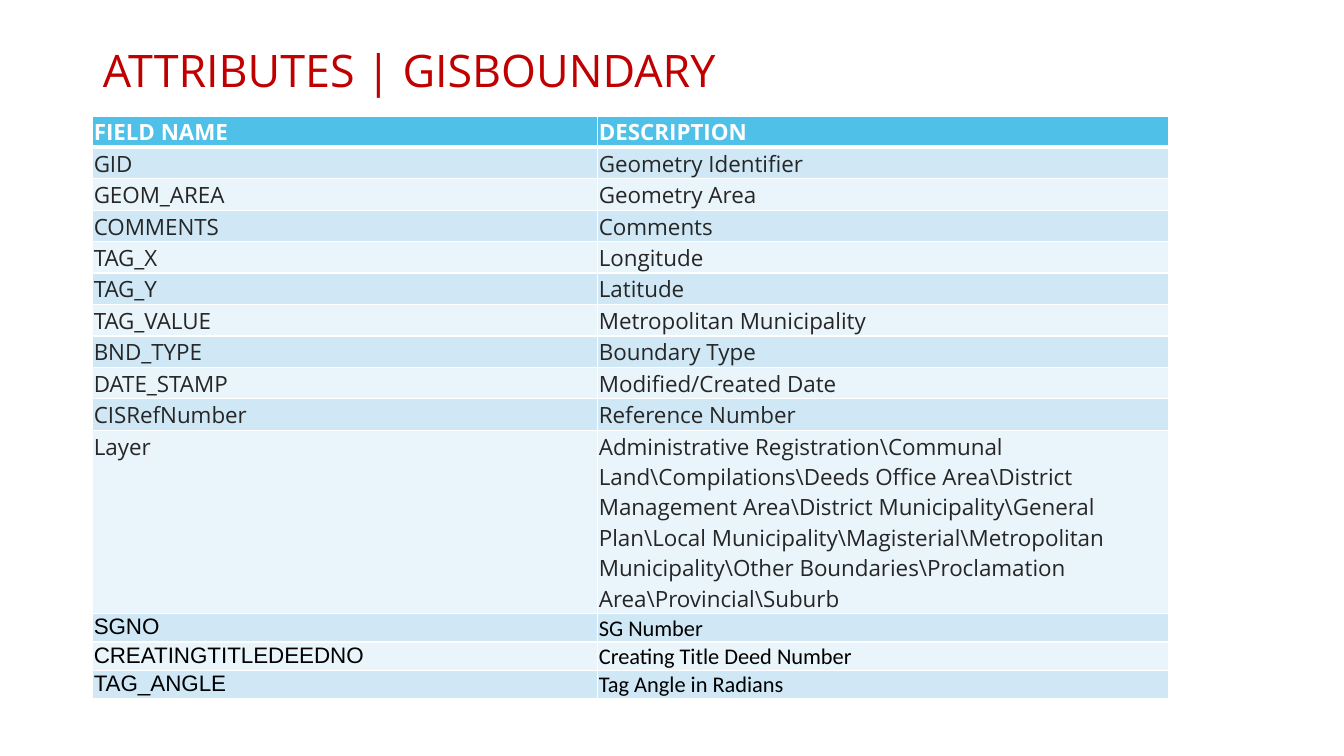
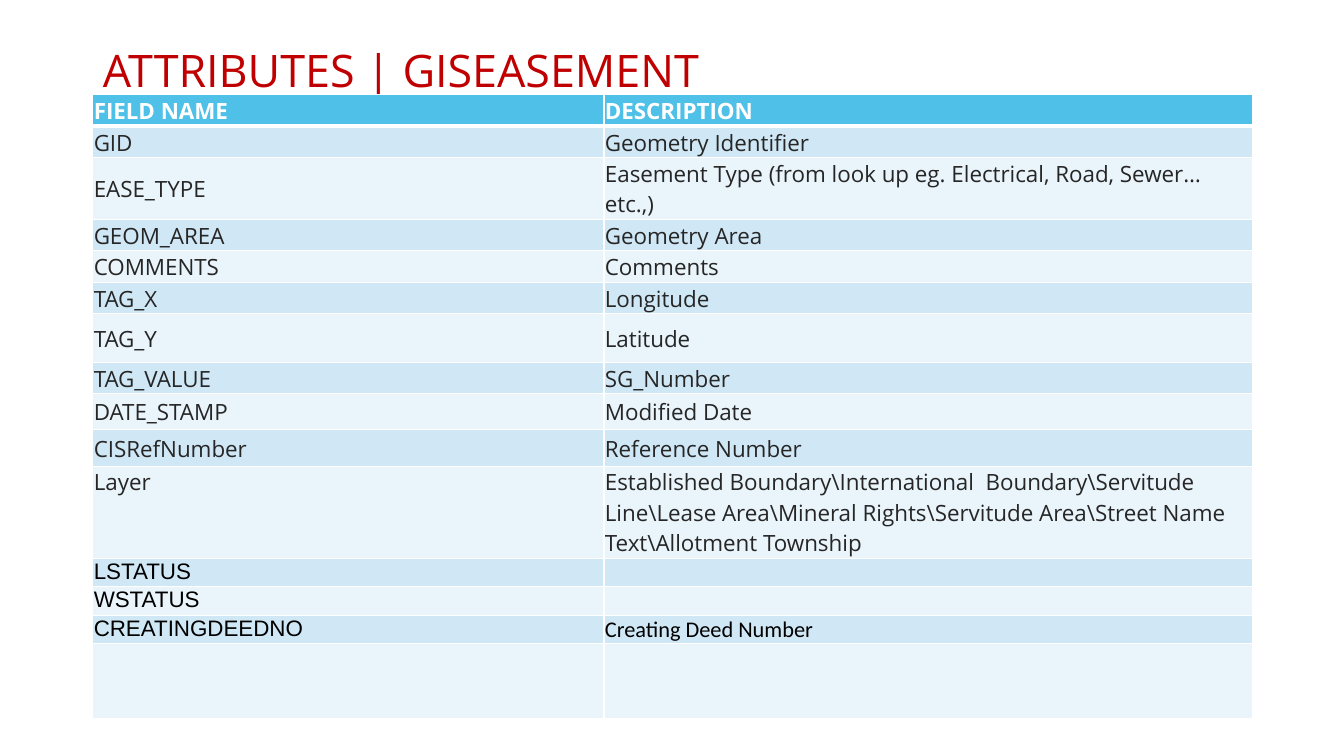
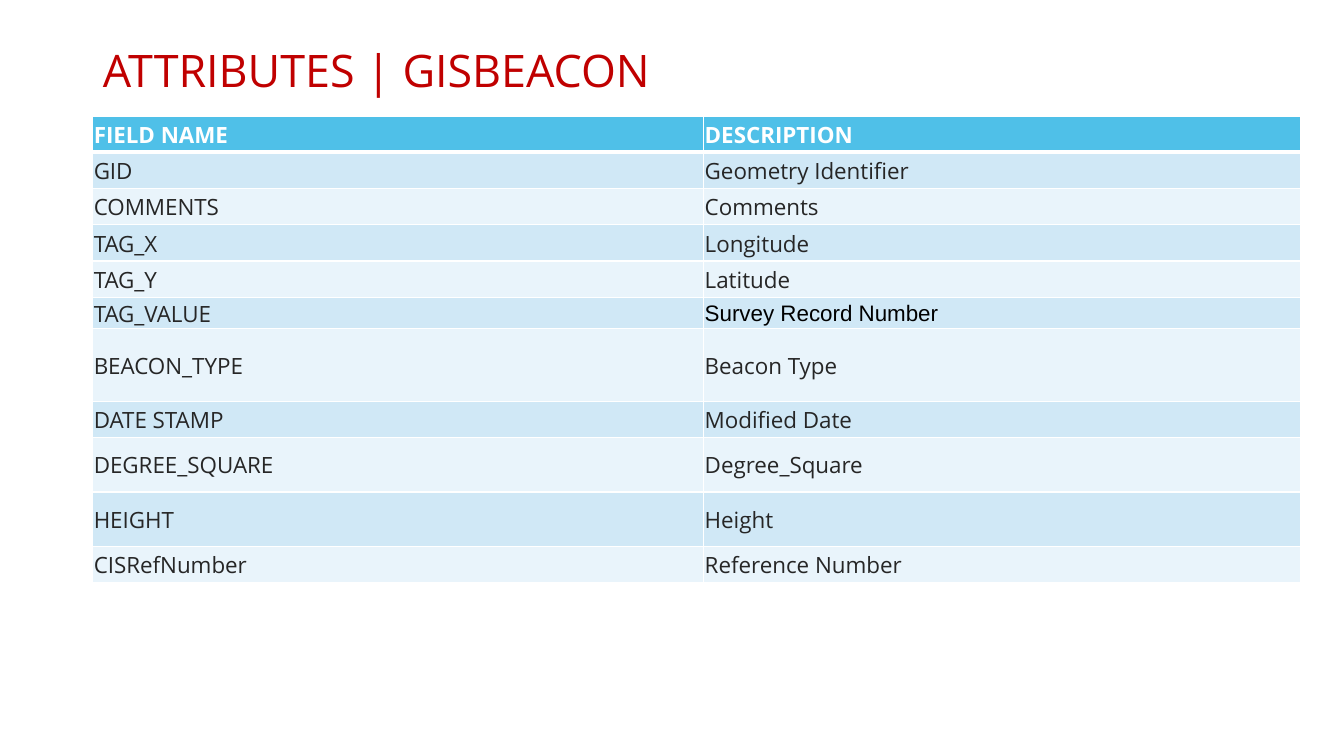
from lxml import etree
from pptx import Presentation
from pptx import util as u
from pptx.dml.color import RGBColor
from pptx.enum import text
from pptx.oxml import ns

HUES = {"title": "C00000", "head": "4FC0E8", "dark": "D0E8F6", "pale": "E9F4FB",
        "white": "FFFFFF", "body": "262626", "black": "000000"}
TOP, MID, LOW = (text.MSO_ANCHOR.TOP, text.MSO_ANCHOR.MIDDLE, text.MSO_ANCHOR.BOTTOM)
FONTS = {
    "title": {"name": "Open Sans", "size": u.Pt(32), "bold": False, "hue": "title"},
    "head": {"name": "Open Sans", "size": u.Pt(16), "bold": True, "hue": "white"},
    "body": {"name": "Open Sans", "size": u.Pt(16), "bold": False, "hue": "body"},
    "arial": {"name": "Arial", "size": u.Pt(16), "bold": False, "hue": "black"},
    "calib": {"name": "Calibri", "size": u.Pt(16), "bold": False, "hue": "black"},
}
KINDS = {
    "head": (("head", MID), ("head", MID)),
    "body": (("body", MID), ("body", MID)),
    "long": (("body", TOP), ("body", LOW)),
    "extra": (("arial", TOP), ("calib", LOW)),
    "mixed": (("body", MID), ("arial", MID)),
}
INSETS = {"margin_left": u.Inches(0.01), "margin_top": u.Inches(0.01),
          "margin_right": u.Inches(0.01), "margin_bottom": 0}


def apply(item, values):
    for key, value in values.items():
        setattr(item, key, value)


class Deck:
    def __init__(self):
        self.show = Presentation()
        apply(self.show, {"slide_width": u.Inches(13.33), "slide_height": u.Inches(7.5)})
        self.slide = None

    def style(self, font, look):
        values = dict(FONTS[look])
        font.color.rgb = RGBColor.from_string(HUES[values.pop("hue")])
        apply(font, values)

    def title(self, words):
        self.slide = self.show.slides.add_slide(self.show.slide_layouts[5])
        box = self.slide.shapes.title
        apply(box, {"left": u.Inches(0.92), "top": u.Inches(0.3),
                    "width": u.Inches(11.5), "height": u.Inches(0.85)})
        apply(box.text_frame, {"vertical_anchor": MID, "word_wrap": True})
        para = box.text_frame.paragraphs[0]
        apply(para, {"alignment": text.PP_ALIGN.LEFT, "line_spacing": 0.9})
        run = para.add_run()
        run.text = words
        self.style(run.font, "title")

    def border(self, cell, row):
        props = cell._tc.get_or_add_tcPr()
        wide = {"lnL": 1, "lnR": 1, "lnT": 3 if row == 1 else 1, "lnB": 3 if row == 0 else 1}
        for spot, (side, size) in enumerate(wide.items()):
            line = etree.Element(ns.qn("a:" + side), w=str(u.Pt(size)))
            fill = etree.SubElement(line, ns.qn("a:solidFill"))
            etree.SubElement(fill, ns.qn("a:srgbClr"), val=HUES["white"])
            props.insert(spot, line)

    def cell(self, cell, row, words, look, anchor):
        apply(cell, {**INSETS, "vertical_anchor": anchor})
        hue = "head" if row == 0 else "dark" if row % 2 else "pale"
        cell.fill.solid()
        cell.fill.fore_color.rgb = RGBColor.from_string(HUES[hue])
        self.border(cell, row)
        para = cell.text_frame.paragraphs[0]
        if words:
            run = para.add_run()
            run.text = words
            self.style(run.font, look)
        else:
            values = FONTS[look]
            end = etree.SubElement(para._p, ns.qn("a:endParaRPr"),
                                   sz=str(int(values["size"].pt * 100)))
            etree.SubElement(end, ns.qn("a:latin"), typeface=values["name"])

    def table(self, top, tall, cols, base, rows):
        rows = [("FIELD NAME", "DESCRIPTION", "head")] + rows
        frame = self.slide.shapes.add_table(
            len(rows), 2, u.Inches(0.92), u.Inches(top), u.Inches(sum(cols)), u.Inches(tall))
        grid = frame.table
        for col, wide in zip(grid.columns, cols):
            col.width = u.Inches(wide)
        for row, (name, about, *rest) in enumerate(rows):
            kind = rest[0] if rest else "body"
            grid.rows[row].height = u.Inches(rest[1] if len(rest) > 1 else base)
            for col, words in enumerate((name, about)):
                self.cell(grid.cell(row, col), row, words, *KINDS[kind][col])
        frame.height = u.Inches(tall)


GID = ("GID", "Geometry Identifier")
AREA = ("GEOM_AREA", "Geometry Area")
NOTE = ("COMMENTS", "Comments")
TAG_X = ("TAG_X", "Longitude")
TAG_Y = ("TAG_Y", "Latitude")
REF = ("CISRefNumber", "Reference Number")

PAGES = [
    ("GISBOUNDARY", 1.15, 5.14, (5.01, 5.66), 0.04, [
        GID, AREA, NOTE, TAG_X, TAG_Y,
        ("TAG_VALUE", "Metropolitan Municipality"),
        ("BND_TYPE", "Boundary Type"),
        ("DATE_STAMP", "Modified/Created Date"),
        REF,
        ("Layer", "Administrative Registration\\Communal Land\\Compilations\\"
         "Deeds Office Area\\District Management Area\\District Municipality\\"
         "General Plan\\Local Municipality\\Magisterial\\Metropolitan Municipality\\"
         "Other Boundaries\\Proclamation Area\\Provincial\\Suburb", "long"),
        ("SGNO", "SG Number", "extra"),
        ("CREATINGTITLEDEEDNO", "Creating Title Deed Number", "extra"),
        ("TAG_ANGLE", "Tag Angle in Radians", "extra"),
    ]),
    ("GISEASEMENT", 0.94, 5.48, (5.07, 6.43), 0.25, [
        GID,
        ("EASE_TYPE", "Easement Type (from look up eg. Electrical, Road, Sewer… etc.,)"),
        AREA, NOTE, TAG_X,
        (*TAG_Y, "body", 0.48),
        ("TAG_VALUE", "SG_Number"),
        ("DATE_STAMP", "Modified Date", "body", 0.36),
        (*REF, "body", 0.36),
        ("Layer", "Established Boundary\\International  Boundary\\Servitude Line\\"
         "Lease Area\\Mineral Rights\\Servitude Area\\Street Name Text\\"
         "Allotment Township", "long", 0.74),
        ("LSTATUS", "", "extra"),
        ("WSTATUS", "", "extra"),
        ("CREATINGDEEDNO", "Creating Deed Number", "extra"),
        ("", "", "extra", 0.74),
    ]),
    ("GISBEACON", 1.15, 4.63, (6.06, 5.92), 0.36, [
        GID, NOTE, TAG_X, TAG_Y,
        ("TAG_VALUE", "Survey Record Number", "mixed", 0.21),
        ("BEACON_TYPE", "Beacon Type", "body", 0.72),
        ("DATE STAMP", "Modified Date"),
        ("DEGREE_SQUARE", "Degree_Square", "body", 0.54),
        ("HEIGHT", "Height", "body", 0.54),
        REF,
    ]),
]


def main():
    deck = Deck()
    for name, *grid in PAGES:
        deck.title("ATTRIBUTES | " + name)
        deck.table(*grid)
    deck.show.save("out.pptx")


if __name__ == "__main__":
    main()
